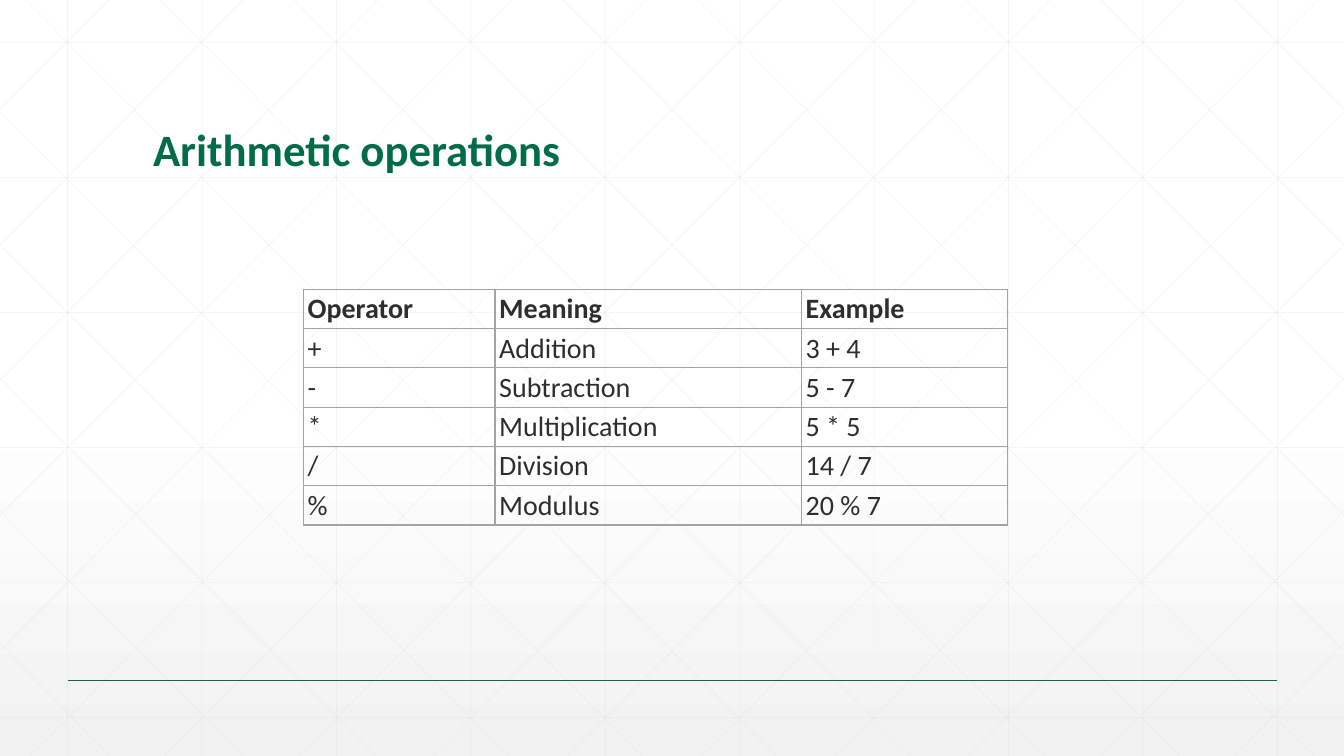
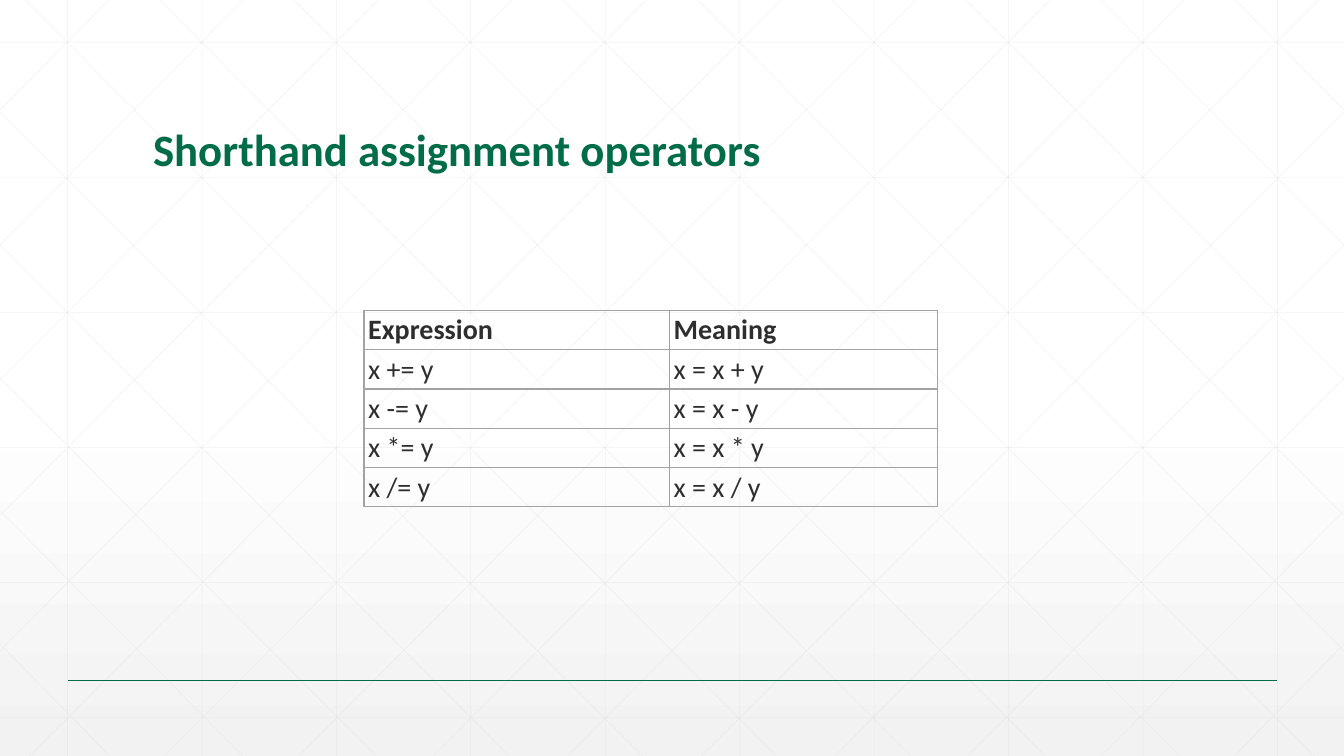
from copy import deepcopy

from lxml import etree
from pptx import Presentation
from pptx.dml.color import RGBColor
from pptx.enum import shapes, text
from pptx.oxml.ns import qn
from pptx import util as u

# Shared look
WIDTH, HEIGHT = 13.33, 7.5
FONT = "Calibri"
GREEN = RGBColor(0x01, 0x6C, 0x48)
INK = RGBColor(0x2D, 0x2E, 0x2D)
GRID_GREY = RGBColor(0xD9, 0xD9, 0xD9)
BORDER_GREY = RGBColor(0xA3, 0xA3, 0xA3)
WHITE = RGBColor(0xFF, 0xFF, 0xFF)
PALE = RGBColor(0xF2, 0xF2, 0xF2)

# Background grid
PITCH = 4 / 3
ROW_PITCH = 1.34
CORNER_PITCH = 1.32
DIAGONAL_RUN = 7.45

ROW_HEIGHT = 0.39

ARITHMETIC = [
    ("Operator", "Meaning", "Example"),
    ("+", "Addition", "3 + 4"),
    ("-", "Subtraction", "5 - 7"),
    ("*", "Multiplication", "5 * 5"),
    ("/", "Division", "14 / 7"),
    ("%", "Modulus", "20 % 7"),
]
SHORTHAND = [
    ("Expression", "Meaning"),
    ("x += y", "x = x + y"),
    ("x -= y", "x = x - y"),
    ("x *= y", "x = x * y"),
    ("x /= y", "x = x / y"),
]


def set_opacity(parent, percent):
    for color in parent.iter(qn("a:srgbClr")):
        etree.SubElement(color, qn("a:alpha"), val=str(percent * 1000))


def add_line(parts, start, end, color, width, opacity=None):
    ends = [u.Inches(value) for value in (*start, *end)]
    line = parts.add_connector(shapes.MSO_CONNECTOR.STRAIGHT, *ends)
    line.line.color.rgb = color
    line.line.width = u.Pt(width)
    properties = line.element.spPr
    if opacity is not None:
        set_opacity(properties, opacity)
    etree.SubElement(properties, qn("a:effectLst"))


def write(frame, words, size=20, color=INK, bold=False, spacing=None):
    paragraph = frame.paragraphs[0]
    paragraph.line_spacing = spacing
    run = paragraph.add_run()
    run.text = words
    run.font.name = FONT
    run.font.size = u.Pt(size)
    run.font.bold = bold
    run.font.color.rgb = color


def paint_background(slide):
    fill = slide.background.fill
    fill.gradient()
    fill.gradient_angle = 270  # top to bottom
    stop_list = slide.element.find(".//" + qn("a:gsLst"))
    stop_list.append(deepcopy(stop_list[0]))
    stops = zip(fill.gradient_stops, ((0, WHITE), (0.53, WHITE), (1, PALE)))
    for stop, (position, color) in stops:
        stop.position = position
        stop.color.rgb = color
    set_opacity(stop_list[2], 65)


def grid_lines():
    """Return the start and end of every line of the background grid."""
    columns = [0.67 + PITCH * i for i in range(10)]
    rows = [0.42 + ROW_PITCH * i for i in range(6)]
    lines = [((x, 0), (x, HEIGHT)) for x in columns]
    lines += [((0, y), (WIDTH, y)) for y in rows]

    # Diagonals from the top edge, cut off at the right edge
    falling = []
    for i in range(10):
        x = 0.25 + PITCH * i
        run = min(DIAGONAL_RUN, WIDTH - x)
        falling.append(((x, 0), (x + run, run * HEIGHT / DIAGONAL_RUN)))
    # Diagonals from the left edge to the bottom edge
    falling += [((0, 1.11 + CORNER_PITCH * i), (6.37 - CORNER_PITCH * i, HEIGHT))
                for i in range(5)]

    rising = [((WIDTH - x1, y1), (WIDTH - x2, y2))
              for (x1, y1), (x2, y2) in falling]
    return lines + falling + rising


def add_titled_slide(deck, title):
    slide = deck.slides.add_slide(deck.slide_layouts[6])
    paint_background(slide)
    grid = slide.shapes.add_group_shape().shapes
    for start, end in grid_lines():
        add_line(grid, start, end, GRID_GREY, 0.5, opacity=25)

    # Footer rule
    add_line(slide.shapes, (0.67, 6.75), (12.67, 6.75), GREEN, 1)

    # Title
    heading = slide.shapes.add_textbox(
        u.Inches(1.42), u.Inches(0.55), u.Inches(10.5), u.Inches(1.25)).text_frame
    heading.word_wrap = True
    heading.vertical_anchor = text.MSO_ANCHOR.BOTTOM
    write(heading, title, size=32, color=GREEN, bold=True, spacing=0.9)
    return slide


def style_cell(cell):
    cell.margin_left = cell.margin_right = u.Pt(3)
    cell.margin_top = cell.margin_bottom = u.Pt(2)
    cell.fill.background()
    properties = cell._tc.get_or_add_tcPr()
    for position, side in enumerate(("lnL", "lnR", "lnT", "lnB")):
        border = etree.Element(qn("a:" + side), w=str(u.Pt(1)))
        fill = etree.SubElement(border, qn("a:solidFill"))
        etree.SubElement(fill, qn("a:srgbClr"), val=str(BORDER_GREY))
        properties.insert(position, border)


def add_operator_table(slide, left, top, widths, rows):
    table = slide.shapes.add_table(
        len(rows), len(widths), u.Inches(left), u.Inches(top),
        u.Inches(sum(widths)), u.Inches(ROW_HEIGHT * len(rows))).table
    table.first_row = table.horz_banding = False
    for column, width in zip(table.columns, widths):
        column.width = u.Inches(width)
    for r, row in enumerate(rows):
        for c, words in enumerate(row):
            cell = table.cell(r, c)
            style_cell(cell)
            write(cell.text_frame, words, bold=r == 0)


def main():
    deck = Presentation()
    deck.slide_width, deck.slide_height = u.Inches(WIDTH), u.Inches(HEIGHT)

    arithmetic = add_titled_slide(deck, "Arithmetic operations")
    add_operator_table(arithmetic, 3.01, 2.87, (1.9, 3.04, 2.04), ARITHMETIC)

    shorthand = add_titled_slide(deck, "Shorthand assignment operators")
    add_operator_table(shorthand, 3.61, 3.08, (3.03, 2.66), SHORTHAND)

    deck.save("out.pptx")


if __name__ == "__main__":
    main()
